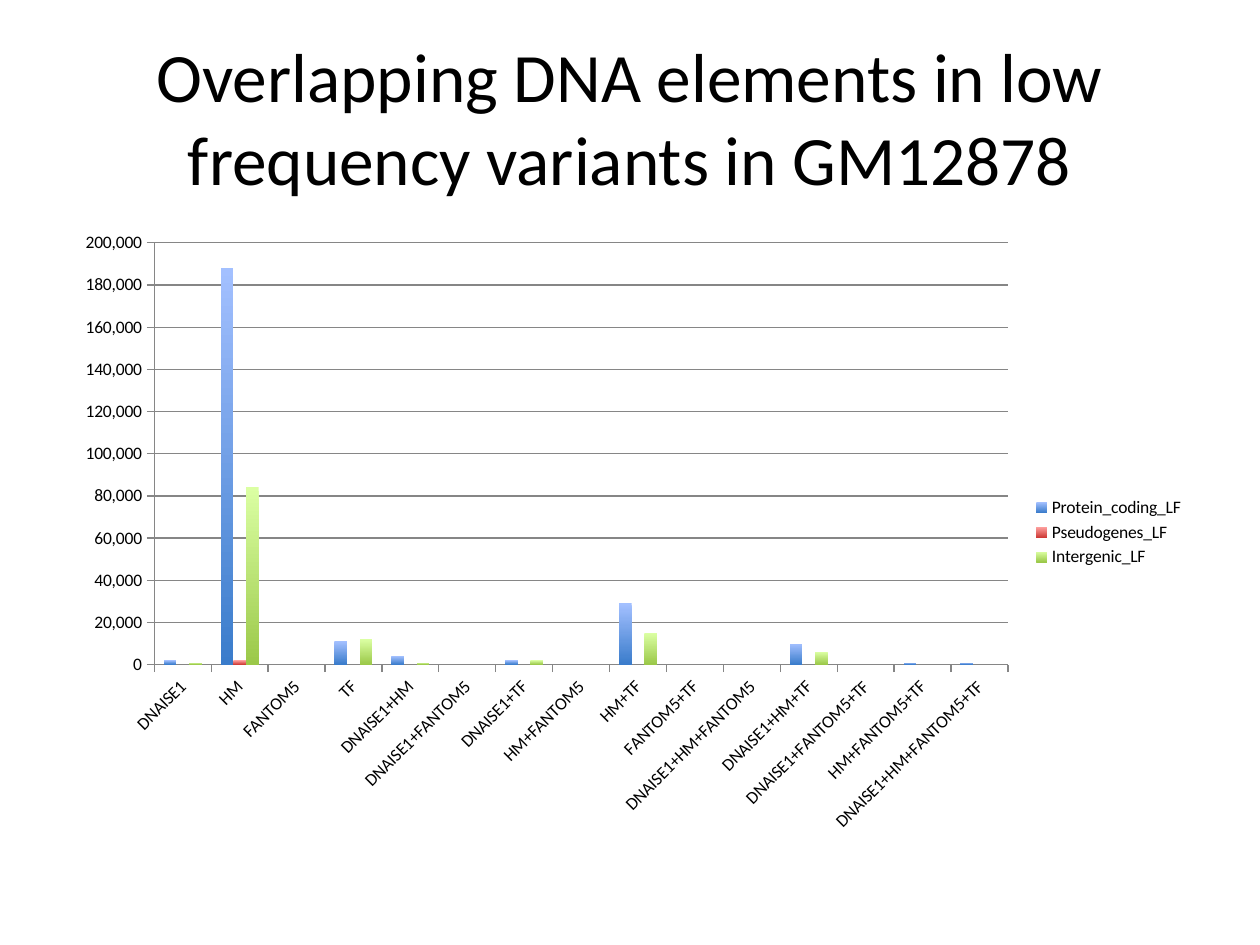
from pptx import Presentation
from pptx.chart.data import CategoryChartData
from pptx.dml.color import RGBColor
from pptx.enum.chart import XL_CHART_TYPE, XL_LEGEND_POSITION, XL_TICK_MARK
from pptx.enum.text import MSO_ANCHOR, PP_ALIGN
from pptx.util import Inches, Pt

FONT = "Calibri"
COLORS = {"text": "000000", "line": "868686"}
TITLE = "Overlapping DNA elements in low frequency variants in GM12878"
CATEGORIES = [
    "DNAISE1", "HM", "FANTOM5", "TF", "DNAISE1+HM", "DNAISE1+FANTOM5",
    "DNAISE1+TF", "HM+FANTOM5", "HM+TF", "FANTOM5+TF",
    "DNAISE1+HM+FANTOM5", "DNAISE1+HM+TF", "DNAISE1+FANTOM5+TF",
    "HM+FANTOM5+TF", "DNAISE1+HM+FANTOM5+TF",
]
# name, values, gradient (top, bottom)
SERIES = [
    ("Protein_coding_LF",
     [2000, 188000, 0, 11000, 4000, 0, 2000, 0, 29000, 0, 0, 10000, 0, 1000, 1000],
     ("A3C0FF", "3A7CCB")),
    ("Pseudogenes_LF",
     [0, 2000, 0, 0, 0, 0, 0, 0, 0, 0, 0, 0, 0, 0, 0],
     ("FFA2A0", "CE3B37")),
    ("Intergenic_LF",
     [1000, 84000, 0, 12000, 1000, 0, 2000, 0, 15000, 0, 0, 6000, 0, 0, 0],
     ("DBFFA3", "9BC849")),
]


def rgb(name):
    return RGBColor.from_string(COLORS[name])


def style_font(font, size):
    font.name = FONT
    font.size = Pt(size)
    font.color.rgb = rgb("text")


def style_line(line):
    line.color.rgb = rgb("line")
    line.width = Pt(0.75)


def add_title(slide):
    box = slide.shapes.add_textbox(Inches(0.5), Inches(0.3), Inches(9), Inches(1.25))
    tf = box.text_frame
    tf.word_wrap = True
    tf.vertical_anchor = MSO_ANCHOR.MIDDLE
    p = tf.paragraphs[0]
    p.alignment = PP_ALIGN.CENTER
    r = p.add_run()
    r.text = TITLE
    style_font(r.font, 39.6)


def add_variant_chart(slide):
    data = CategoryChartData(number_format="#,##0")
    data.categories = CATEGORIES
    for name, values, _ in SERIES:
        data.add_series(name, values)
    chart = slide.shapes.add_chart(
        XL_CHART_TYPE.COLUMN_CLUSTERED,
        Inches(0.5), Inches(1.75), Inches(9), Inches(4.95), data).chart
    chart.has_title = False
    style_font(chart.font, 10)

    chart.has_legend = True
    chart.legend.position = XL_LEGEND_POSITION.RIGHT
    chart.legend.include_in_layout = False

    plot = chart.plots[0]
    plot.gap_width = 150
    plot.overlap = 0
    plot.vary_by_categories = False
    for s, (_, _, gradient) in zip(plot.series, SERIES):
        fill = s.format.fill
        fill.gradient()
        fill.gradient_angle = 270
        for stop, color in zip(fill.gradient_stops, gradient):
            stop.color.rgb = RGBColor.from_string(color)

    for axis in (chart.category_axis, chart.value_axis):
        axis.major_tick_mark = XL_TICK_MARK.OUTSIDE
        axis.minor_tick_mark = XL_TICK_MARK.NONE
        style_line(axis.format.line)
        style_font(axis.tick_labels.font, 10)
    # Slant the category labels by 45 degrees
    chart.category_axis._element.txPr.bodyPr.set("rot", "-2700000")

    axis = chart.value_axis
    axis.minimum_scale, axis.maximum_scale, axis.major_unit = 0, 200000, 20000
    axis.tick_labels.number_format = "#,##0"
    axis.tick_labels.number_format_is_linked = False
    axis.has_major_gridlines = True
    style_line(axis.major_gridlines.format.line)


def main():
    prs = Presentation()
    prs.slide_width, prs.slide_height = Inches(10), Inches(7.5)
    slide = prs.slides.add_slide(prs.slide_layouts[6])
    add_title(slide)
    add_variant_chart(slide)
    prs.save("out.pptx")


if __name__ == "__main__":
    main()
